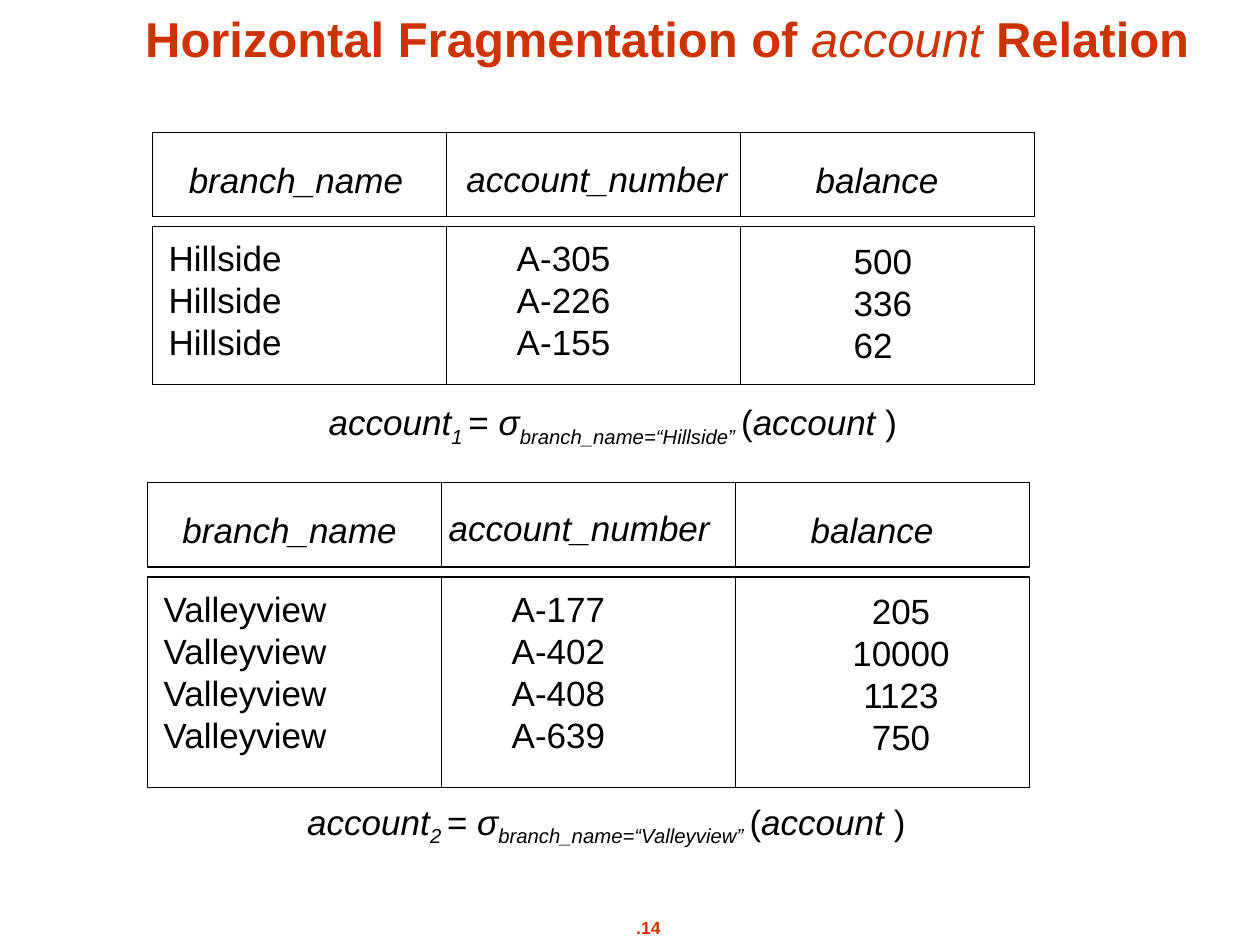
from pptx import Presentation
from pptx import util as u
from pptx.dml.color import RGBColor
from pptx.enum import shapes, text

COLORS = {"title": "CC3300", "text": "000000", "cell": "FFFFFF", "border": "000000"}
FONT = "Arial"
COLUMN_WIDTH = 2.333
HEADER_HEIGHT = 0.67
BODY_OFFSET = 0.75
HEADERS = ["branch_name", "account_number", "balance"]
SUBSCRIPT = "-25000"


def style_font(font, size, color, bold=False, italic=False):
    font.name = FONT
    font.size = u.Pt(size)
    font.bold = bold
    font.italic = italic
    font.color.rgb = RGBColor.from_string(COLORS[color])


def add_text_frame(slide, left, top, width, height, wrap=False):
    box = slide.shapes.add_textbox(
        u.Inches(left), u.Inches(top), u.Inches(width), u.Inches(height))
    frame = box.text_frame
    frame.word_wrap = wrap
    frame.auto_size = text.MSO_AUTO_SIZE.SHAPE_TO_FIT_TEXT
    return frame


def add_lines(slide, lines, position, size=20, color="text", bold=False,
              italic=False, align=text.PP_ALIGN.LEFT):
    """Write one paragraph per line in a text box at (left, top, width, height)."""
    frame = add_text_frame(slide, *position)
    frame.text = "\n".join(lines)
    for paragraph in frame.paragraphs:
        paragraph.alignment = align
        style_font(paragraph.font, size, color, bold, italic)


def add_cell(slide, left, top, height):
    cell = slide.shapes.add_shape(
        shapes.MSO_SHAPE.RECTANGLE, u.Inches(left), u.Inches(top),
        u.Inches(COLUMN_WIDTH), u.Inches(height))
    cell.shadow.inherit = False
    cell.fill.solid()
    cell.fill.fore_color.rgb = RGBColor.from_string(COLORS["cell"])
    cell.line.color.rgb = RGBColor.from_string(COLORS["border"])
    cell.line.width = u.Pt(0.75)


def add_fragment(slide, left, top, body_height, header_places, columns):
    """Draw a fragment: a header row and, below a gap, one tall cell per column.

    header_places holds (left, top, width) of each label, relative to its cell;
    columns holds (lines, left, top, width, alignment) in the same way.
    """
    text_height = 0.1 + 0.335 * len(columns[0][0])
    body_top = top + BODY_OFFSET
    for index, (header, place, column) in enumerate(
            zip(HEADERS, header_places, columns)):
        cell_left = left + index * COLUMN_WIDTH
        add_cell(slide, cell_left, top, HEADER_HEIGHT)
        dx, dy, width = place
        add_lines(slide, [header], (cell_left + dx, top + dy, width, 0.44), italic=True)
        add_cell(slide, cell_left, body_top, body_height)
        lines, dx, dy, width, align = column
        add_lines(slide, lines, (cell_left + dx, body_top + dy, width, text_height),
                  align=align)


def add_formula(slide, number, branch, position):
    """Write the selection that defines a fragment."""
    paragraph = add_text_frame(slide, *position, wrap=True).paragraphs[0]
    runs = [
        ("account", True, False), (f"{number} ", True, True), ("= ", False, False),
        ("σ", True, False), (f"branch_name=“{branch}” ", True, True),
        ("(", False, False), ("account ", True, False), (")", False, False),
    ]
    for words, italic, subscript in runs:
        run = paragraph.add_run()
        run.text = words
        style_font(run.font, 20, "text", italic=italic)
        if subscript:
            run.font._element.set("baseline", SUBSCRIPT)


def add_title(slide):
    title = slide.shapes.title
    title.left, title.top = u.Inches(0.42), u.Inches(0)
    title.width, title.height = u.Inches(9.75), u.Inches(0.58)
    frame = title.text_frame
    frame.vertical_anchor = text.MSO_ANCHOR.BOTTOM
    frame.auto_size = text.MSO_AUTO_SIZE.NONE
    paragraph = frame.paragraphs[0]
    paragraph.alignment = text.PP_ALIGN.CENTER
    paragraph.line_spacing = 0.8
    for words, italic in [("Horizontal Fragmentation of ", False),
                          ("account", True), (" Relation", False)]:
        run = paragraph.add_run()
        run.text = words
        style_font(run.font, 28, "title", bold=not italic, italic=italic)


def main():
    presentation = Presentation()
    presentation.slide_width = u.Inches(10)
    presentation.slide_height = u.Inches(7.5)
    slide = presentation.slides.add_slide(presentation.slide_layouts[5])
    left, center = text.PP_ALIGN.LEFT, text.PP_ALIGN.CENTER

    add_title(slide)
    add_fragment(
        slide, 1.21, 1.05, 1.25,
        [(0.19, 0.16, 1.9), (0.06, 0.15, 2.27), (0.5, 0.16, 1.2)],
        [(["Hillside"] * 3, 0.03, 0.03, 1.12, left),
         (["A-305", "A-226", "A-155"], 0.46, 0.03, 0.94, left),
         (["500", "336", "62"], 0.8, 0.05, 0.69, left)])
    add_formula(slide, 1, "Hillside", (2.51, 3.13, 5.11, 0.48))
    add_fragment(
        slide, 1.17, 3.83, 1.67,
        [(0.18, 0.16, 1.9), (-0.04, 0.14, 2.27), (0.5, 0.16, 1.2)],
        [(["Valleyview"] * 4, 0.03, 0.03, 1.51, left),
         (["A-177", "A-402", "A-408", "A-639"], 0.46, 0.03, 0.94, left),
         (["205", "10000", "1123", "750"], 0.81, 0.05, 1.01, center)])
    add_formula(slide, 2, "Valleyview", (2.34, 6.3, 5.34, 0.82))
    add_lines(slide, [".14"], (4.69, 7.23, 0.91, 0.27), size=10, color="title",
              bold=True, align=center)
    presentation.save("out.pptx")


if __name__ == "__main__":
    main()
